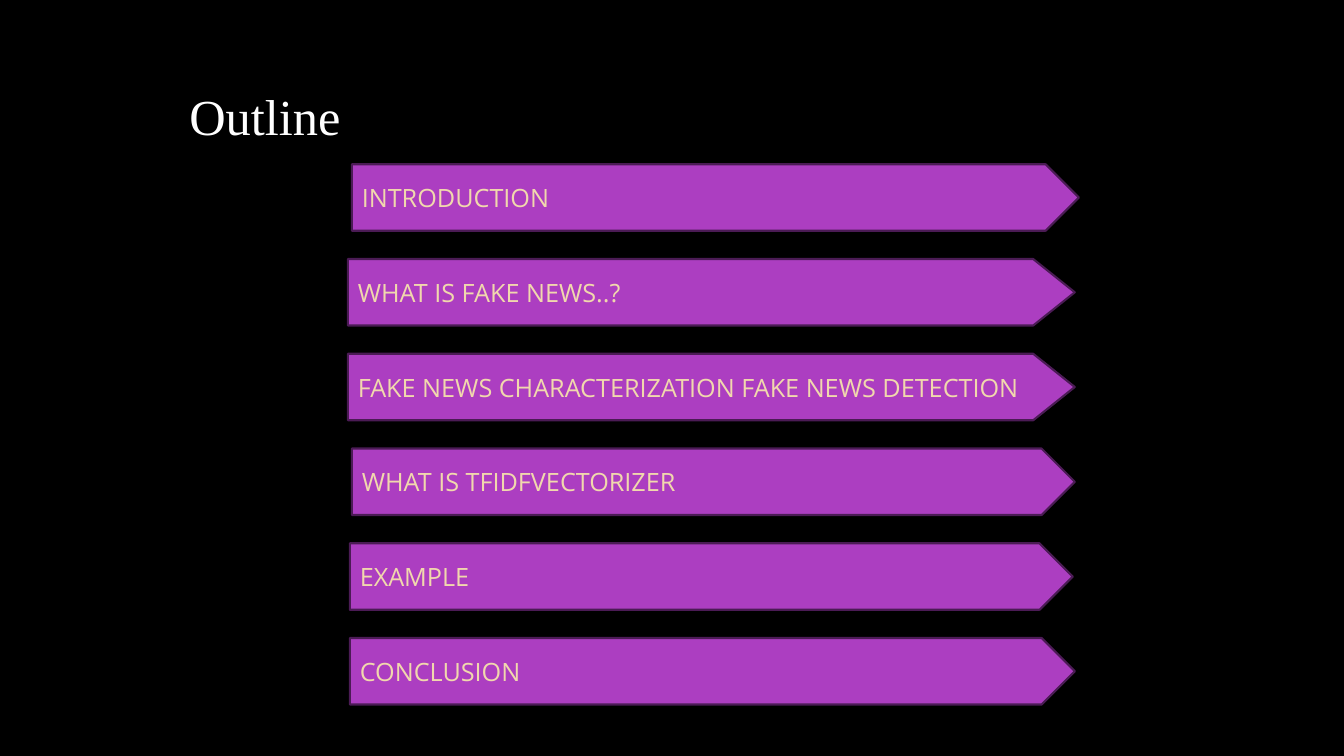
"""Build the outline slide: a title above six pentagon arrows."""
from pptx import Presentation
from pptx import util as u
from pptx.dml.color import RGBColor
from pptx.enum import shapes, text

COLORS = {
    "background": "000000",
    "title": "FFFFFF",
    "arrow": "AC3EC1",
    "border": "4B1B55",
    "label": "F1D8AD",
}
FIRST_TOP, STEP, ARROW_HEIGHT = 1.63, 0.94, 0.66
TOPICS = [
    ("INTRODUCTION", 3.49, 7.21, 0.5),
    ("WHAT IS FAKE NEWS..?", 3.45, 7.21, 0.625),
    ("FAKE NEWS CHARACTERIZATION FAKE NEWS DETECTION", 3.45, 7.21, 0.625),
    ("WHAT IS TFIDFVECTORIZER", 3.49, 7.17, 0.5),
    ("EXAMPLE", 3.47, 7.17, 0.5),
    ("CONCLUSION", 3.47, 7.19, 0.5),
]


def color(name):
    return RGBColor.from_string(COLORS[name])


def write(shape, words, font_name, size, color_name):
    para = shape.text_frame.paragraphs[0]
    para.text = words
    para.alignment = text.PP_ALIGN.LEFT
    para.font.name = font_name
    para.font.size = u.Pt(size)
    para.font.color.rgb = color(color_name)


deck = Presentation()
deck.slide_width = u.Inches(13.33)
deck.slide_height = u.Inches(7.5)
page = deck.slides.add_slide(deck.slide_layouts[6])
page.background.fill.solid()
page.background.fill.fore_color.rgb = color("background")

title = page.shapes.add_textbox(
    u.Inches(1.78), u.Inches(0.79), u.Inches(2.33), u.Inches(0.71))
title.text_frame.word_wrap = True
title.text_frame.auto_size = text.MSO_AUTO_SIZE.SHAPE_TO_FIT_TEXT
write(title, "Outline", "Times New Roman", 36, "title")

for row, (topic, left, width, point) in enumerate(TOPICS):
    arrow = page.shapes.add_shape(
        shapes.MSO_SHAPE.PENTAGON, u.Inches(left),
        u.Inches(FIRST_TOP + row * STEP), u.Inches(width), u.Inches(ARROW_HEIGHT))
    arrow.adjustments[0] = point
    arrow.shadow.inherit = False
    arrow.fill.solid()
    arrow.fill.fore_color.rgb = color("arrow")
    arrow.line.color.rgb = color("border")
    arrow.line.width = u.Pt(1.5)
    arrow.text_frame.word_wrap = True
    arrow.text_frame.vertical_anchor = text.MSO_ANCHOR.MIDDLE
    write(arrow, topic, "Open Sans", 18, "label")

deck.save("out.pptx")
